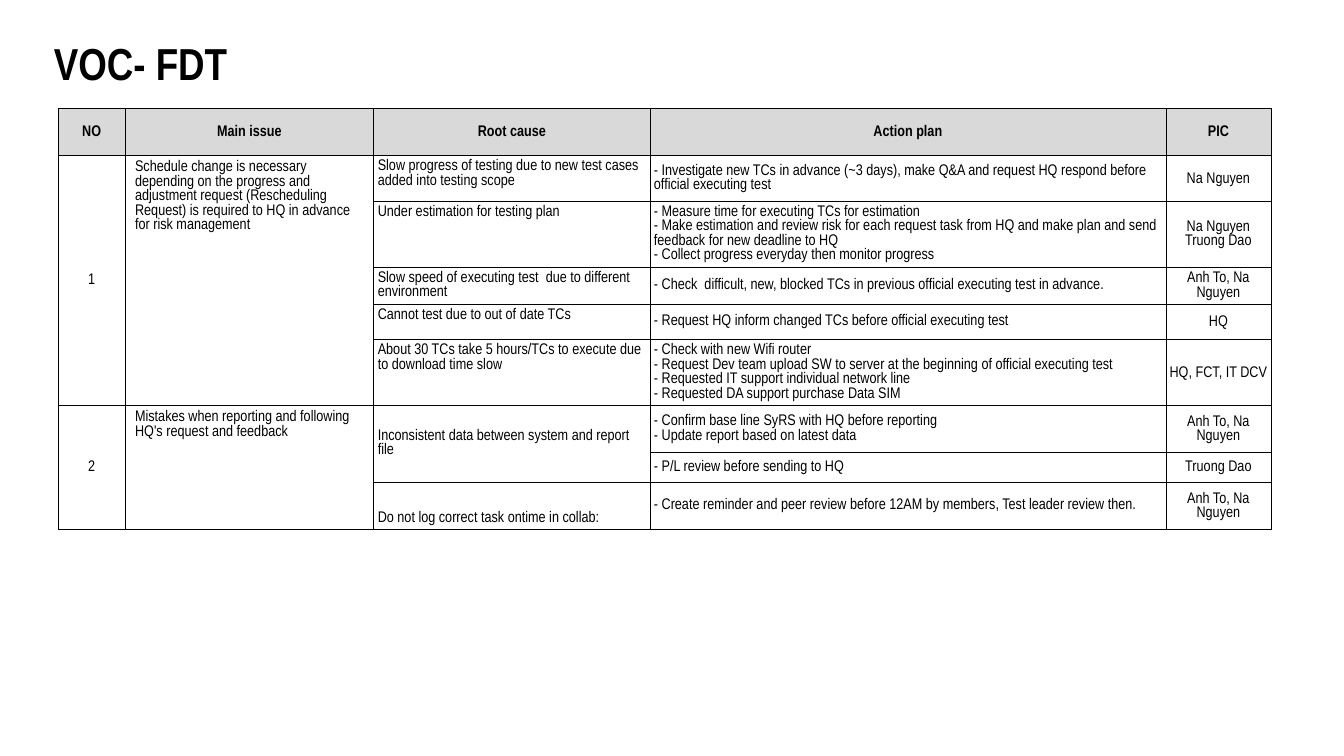
from copy import deepcopy

from pptx import Presentation
from pptx.dml.color import RGBColor
from pptx.enum.text import MSO_ANCHOR as ANCHOR, MSO_AUTO_SIZE as AUTO, PP_ALIGN as ALIGN
from pptx.oxml import parse_xml
from pptx.oxml.ns import nsdecls, qn
from pptx.util import Cm, Pt


def color(value):
    return RGBColor.from_string(value)


def write(tf, text, size=11, bold=False, align=ALIGN.LEFT, spacing=None):
    for i, line in enumerate(text.split("\n")):
        p = tf.paragraphs[0] if i == 0 else tf.add_paragraph()
        p.text = line
        p.alignment = align
        if spacing:
            p.line_spacing = spacing
        for r in p.runs:
            r.font.name = "Arial Narrow"
            r.font.size = Pt(size)
            r.font.bold = bold
            r.font.color.rgb = color("000000")
        for br in p._p.findall(qn("a:br")):
            br.append(deepcopy(p.runs[0]._r.rPr))


prs = Presentation()
prs.slide_width, prs.slide_height = Cm(33.87), Cm(19.05)
s = prs.slides.add_slide(prs.slide_layouts[5])

title = s.shapes.title
title.left, title.top, title.width, title.height = Cm(0.74), Cm(1.19), Cm(5.61), Cm(1.22)
tf = title.text_frame
tf.auto_size = AUTO.NONE
tf.vertical_anchor = ANCHOR.BOTTOM
write(tf, "VOC- FDT", size=32, bold=True, align=ALIGN.CENTER, spacing=0.9)

header = ["NO", "Main issue", "Root cause", "Action plan", "PIC"]
rows = [
    ["1",
     "Schedule change is necessary depending on the progress and adjustment request "
     "(Rescheduling Request) is required to HQ in advance for risk management",
     "Slow progress of testing due to new test cases added into testing scope",
     "- Investigate new TCs in advance (~3 days), make Q&A and request HQ respond "
     "before official executing test",
     "Na Nguyen"],
    ["", "", "Under estimation for testing plan",
     "- Measure time for executing TCs for estimation\v"
     "- Make estimation and review risk for each request task from HQ and make plan "
     "and send feedback for new deadline to HQ\v"
     "- Collect progress everyday then monitor progress",
     "Na Nguyen\vTruong Dao"],
    ["", "", "Slow speed of executing test  due to different environment",
     "- Check  difficult, new, blocked TCs in previous official executing test in advance.",
     "Anh To, Na Nguyen"],
    ["", "", "Cannot test due to out of date TCs",
     "- Request HQ inform changed TCs before official executing test",
     "HQ"],
    ["", "", "About 30 TCs take 5 hours/TCs to execute due to download time slow",
     "- Check with new Wifi router\v"
     "- Request Dev team upload SW to server at the beginning of official executing test\v"
     "- Requested IT support individual network line\n"
     "- Requested DA support purchase Data SIM",
     "HQ, FCT, IT DCV"],
    ["2", "Mistakes when reporting and following HQ's request and feedback",
     "Inconsistent data between system and report file",
     "- Confirm base line SyRS with HQ before reporting\v"
     "- Update report based on latest data",
     "Anh To, Na Nguyen"],
    ["", "", "", "- P/L review before sending to HQ", "Truong Dao"],
    ["", "", "Do not log correct task ontime in collab:",
     "- Create reminder and peer review before 12AM by members, Test leader review then.",
     "Anh To, Na Nguyen"],
]
col_widths = [1.68, 6.27, 6.96, 13, 2.65]
row_heights = [1.19, 1.15, 1.65, 0.94, 0.89, 1.66, 1.19, 0.74, 1.2]
margins = {2: (0.1, 0.1), 3: (0.1, 0.1), 4: (0.03, 0)}
root_cause_anchors = {6: ANCHOR.MIDDLE, 8: ANCHOR.BOTTOM}
merges = [(1, 0, 5), (1, 1, 5), (6, 0, 8), (6, 1, 8), (6, 2, 7)]

table = s.shapes.add_table(len(row_heights), len(col_widths), Cm(1.47), Cm(2.73),
                           Cm(sum(col_widths)), Cm(sum(row_heights))).table
table.first_row = table.horz_banding = False
for col, width in zip(table.columns, col_widths):
    col.width = Cm(width)
for row, height in zip(table.rows, row_heights):
    row.height = Cm(height)

for i, texts in enumerate([header] + rows):
    for j, text in enumerate(texts):
        cell = table.cell(i, j)
        cell.vertical_anchor = ANCHOR.MIDDLE
        if i and j == 1:
            cell.vertical_anchor = ANCHOR.TOP
        elif i and j == 2:
            cell.vertical_anchor = root_cause_anchors.get(i, ANCHOR.TOP)
        if i and j in margins:
            side, bottom = margins[j]
            cell.margin_left = cell.margin_right = cell.margin_top = Cm(side)
            cell.margin_bottom = Cm(bottom)
        centered = i == 0 or j in (0, 4)
        write(cell.text_frame, text, bold=i == 0,
              align=ALIGN.CENTER if centered else ALIGN.LEFT)
        tcPr = cell._tc.get_or_add_tcPr()
        for edge in ("lnL", "lnR", "lnT", "lnB"):
            tcPr.append(parse_xml(
                f'<a:{edge} {nsdecls("a")} w="{Pt(0.5)}"><a:solidFill>'
                f'<a:srgbClr val="000000"/></a:solidFill></a:{edge}>'))
        if i == 0:
            cell.fill.solid()
            cell.fill.fore_color.rgb = color("D9D9D9")
        else:
            cell.fill.background()

for top, col, bottom in merges:
    table.cell(top, col).merge(table.cell(bottom, col))

prs.save("out.pptx")
